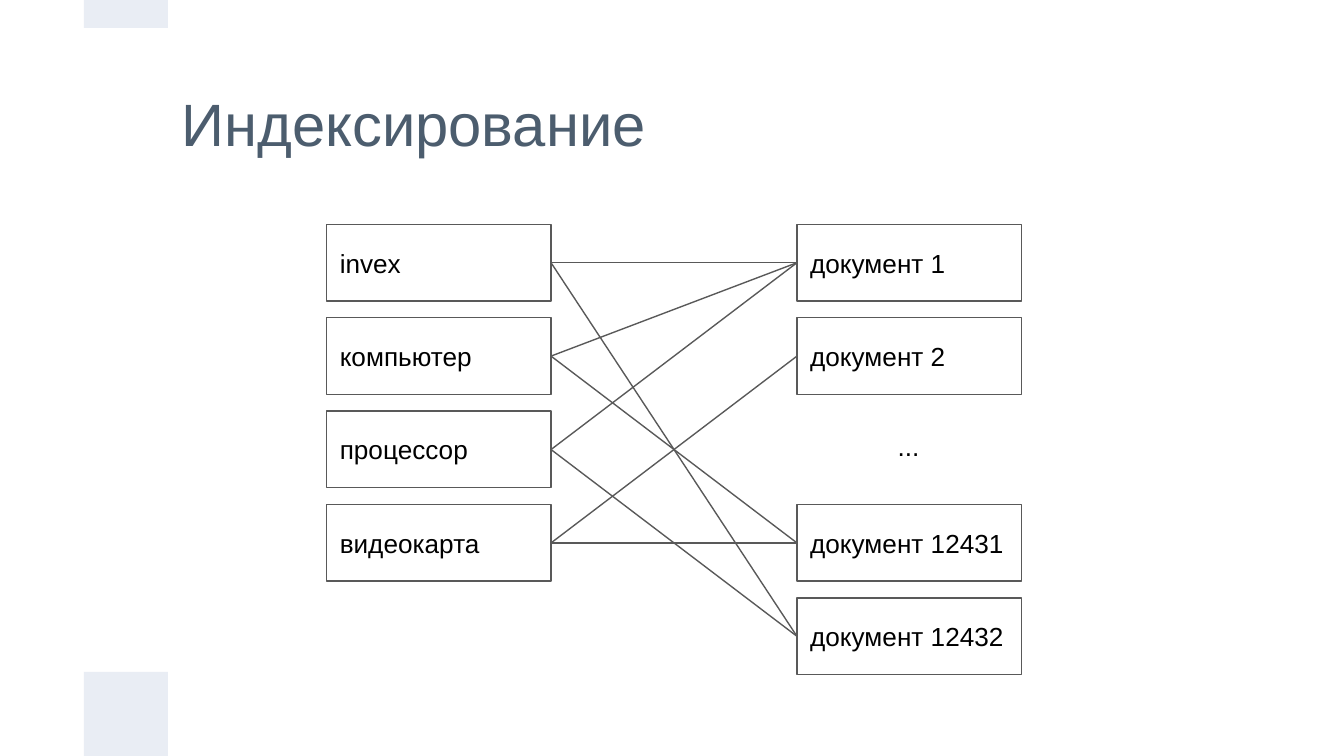
from lxml.etree import SubElement
from pptx import Presentation
from pptx.dml.color import RGBColor
from pptx.enum.shapes import MSO_CONNECTOR, MSO_SHAPE
from pptx.enum.text import MSO_ANCHOR, PP_ALIGN
from pptx.oxml.ns import qn
from pptx.util import Inches, Pt

TITLE = "Индексирование"
TERMS = ["invex", "компьютер", "процессор", "видеокарта"]
ELLIPSIS = "..."
DOCUMENTS = ["документ 1", "документ 2", ELLIPSIS, "документ 12431", "документ 12432"]
INDEX = {  # term row: document rows
    0: [0, 4],
    1: [0, 3],
    2: [0, 4],
    3: [1, 3],
}

PAGE_WIDTH = 10
PAGE_HEIGHT = PAGE_WIDTH * 9 / 16
ACCENT_SIDE = PAGE_WIDTH / 16
ACCENTS = [
    (ACCENT_SIDE, PAGE_HEIGHT - ACCENT_SIDE, ACCENT_SIDE, ACCENT_SIDE),
    (ACCENT_SIDE, 0, ACCENT_SIDE, ACCENT_SIDE / 3),
]

TERM_LEFT, DOCUMENT_LEFT = 2.43, 5.93
BOX_WIDTH, BOX_HEIGHT = 1.67, 0.57
FIRST_TOP, LAST_TOP = 1.67, 4.45
ROW_STEP = (LAST_TOP - FIRST_TOP) / (len(DOCUMENTS) - 1)
LINE_COLOR = "595959"


def color(hex_value):
    return RGBColor.from_string(hex_value)


def write(shape, text, size=14, fill="000000", align=PP_ALIGN.LEFT, anchor=MSO_ANCHOR.MIDDLE):
    frame = shape.text_frame
    frame.word_wrap = True
    frame.vertical_anchor = anchor
    frame.margin_left = frame.margin_right = Inches(0.1)
    frame.margin_top = frame.margin_bottom = Inches(0.1)
    para = frame.paragraphs[0]
    para.alignment = align
    span = para.add_run()
    span.text = text
    span.font.name = "Arial"
    span.font.size = Pt(size)
    span.font.color.rgb = color(fill)


def add_rectangle(page, left, top, width, height):
    box = page.shapes.add_shape(
        MSO_SHAPE.RECTANGLE, Inches(left), Inches(top), Inches(width), Inches(height))
    box.shadow.inherit = False
    return box


def add_accent(page, area):
    accent = add_rectangle(page, *area)
    accent.fill.solid()
    accent.fill.fore_color.rgb = color("E9EDF4")
    accent.line.fill.background()


def add_row(page, text, left, row):
    """Add an outlined box, or plain centred text for the ellipsis row."""
    top = FIRST_TOP + row * ROW_STEP
    if text == ELLIPSIS:
        box = page.shapes.add_textbox(
            Inches(6.45), Inches(top + 0.04), Inches(0.62), Inches(0.49))
        write(box, text, align=PP_ALIGN.CENTER, anchor=MSO_ANCHOR.TOP)
        return box
    box = add_rectangle(page, left, top, BOX_WIDTH, BOX_HEIGHT)
    box.fill.background()
    box.line.color.rgb = color(LINE_COLOR)
    box.line.width = Pt(0.75)
    write(box, text)
    return box


def join(page, term, document):
    line = page.shapes.add_connector(MSO_CONNECTOR.STRAIGHT, 0, 0, 0, 0)
    line.begin_connect(term, 3)
    line.end_connect(document, 1)
    line.line.color.rgb = color(LINE_COLOR)
    line.line.width = Pt(0.75)
    SubElement(line.element.spPr, qn("a:effectLst"))


def main():
    deck = Presentation()
    deck.slide_width, deck.slide_height = Inches(PAGE_WIDTH), Inches(PAGE_HEIGHT)
    page = deck.slides.add_slide(deck.slide_layouts[5])

    title = page.shapes.title
    title.left, title.top = Inches(1.25), Inches(0.51)
    title.width, title.height = Inches(7.5), Inches(0.8)
    write(title, TITLE, size=32, fill="4C5D6E")

    for area in ACCENTS:
        add_accent(page, area)
    terms = [add_row(page, text, TERM_LEFT, row) for row, text in enumerate(TERMS)]
    documents = [add_row(page, text, DOCUMENT_LEFT, row) for row, text in enumerate(DOCUMENTS)]
    for term_row, document_rows in INDEX.items():
        for document_row in document_rows:
            join(page, terms[term_row], documents[document_row])

    deck.save("out.pptx")


if __name__ == "__main__":
    main()
